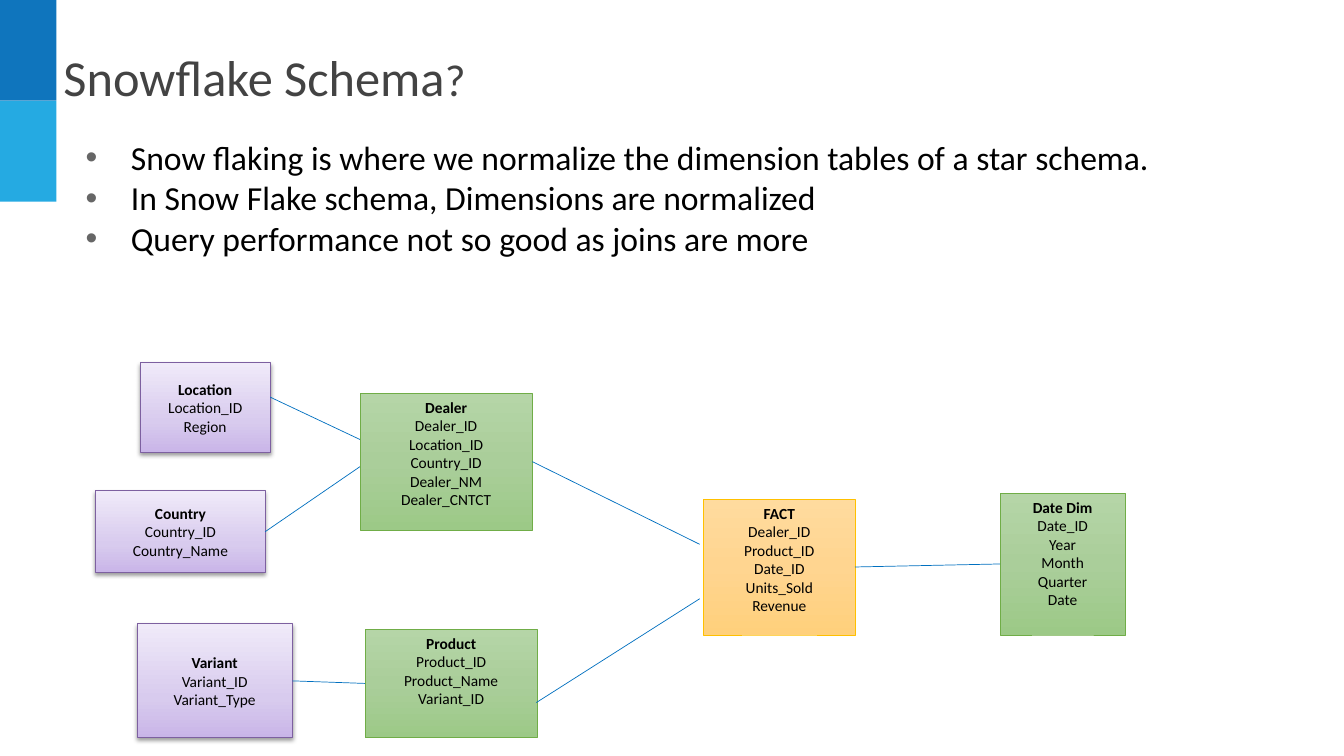
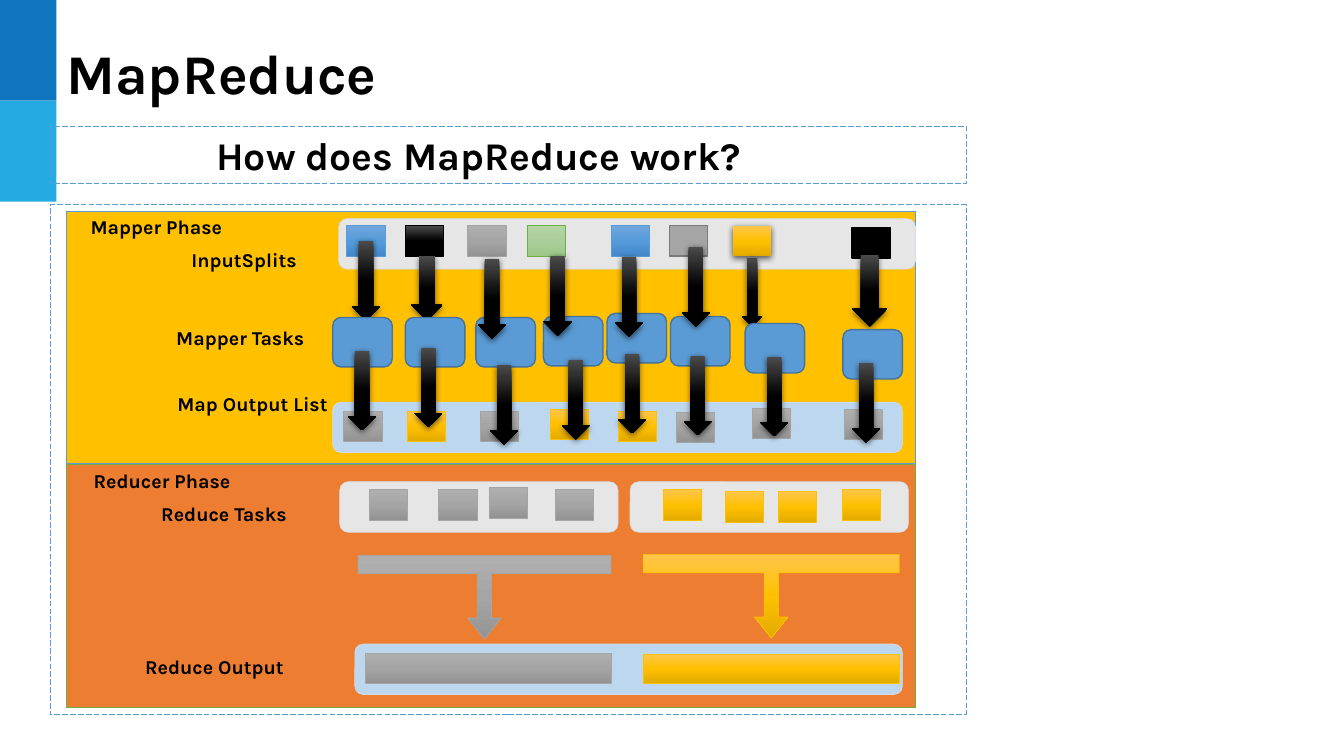
from dataclasses import dataclass
from lxml.etree import SubElement
from pptx import Presentation
from pptx.dml.color import RGBColor
from pptx.enum.dml import MSO_LINE
from pptx.enum.shapes import MSO_CONNECTOR, MSO_SHAPE
from pptx.enum.text import MSO_ANCHOR, PP_ALIGN
from pptx.oxml.ns import qn
from pptx.util import Inches, Pt


@dataclass(frozen=True)
class Look:
    """Fill stops, edge and shadow of a shape."""
    stops: tuple = ()
    edge: str = ""
    width: float = 0.5
    shade: tuple = ()
    dash: bool = False


@dataclass(frozen=True)
class Theme:
    """Fonts, type sizes, colours and looks of the deck."""
    plain: str = "Calibri"
    bold: str = "Karla"
    ink: str = "000000"
    head: str = "434343"
    bullet: str = "666666"
    wire: str = "0070C0"
    small: int = 11
    label: int = 14
    body: int = 24
    sub: int = 28
    mark: int = 32
    title: int = 36
    large: int = 40
    bands: tuple = (Look(("0F75BD",)), Look(("25AAE2",)))
    green: Look = Look(((0, "B5D5A7"), (50, "AACE9A"), (100, "9CC987")), "70AD47")
    peach: Look = Look(((0, "FFDB9E"), (50, "FFD590"), (100, "FFD07C")), "FFC000")
    lilac: Look = Look(((0, "F0EAF9"), (65, "D8CBEE"), (100, "C9B5E8")),
                       "7D60A0", 0.75, (38, 3.1, 1.6))
    blue: Look = Look(((0, "71A6DB"), (50, "559BDB"), (100, "448ACA")), "5B9BD5")
    black: Look = Look(((0, "4B4B4B"), (50, "000000"), (100, "000000")), "000000")
    gray: Look = Look(((0, "AFAFAF"), (50, "A5A5A5"), (100, "939393")), "A5A5A5")
    gold: Look = Look(((0, "FFC64B"), (50, "FFC000"), (100, "E3AB00")), "FFC000")
    glow: Look = Look(gold.stops, shade=(63, 4.5, 1.5))
    arrow: Look = Look(black.stops, shade=(63, 4.5, 1.5))
    steel: Look = Look(("A5A5A5",), "7A7A7A", 1)
    coal: Look = Look(("000000",), "000000", 1)
    task: Look = Look(("5B9BD5",), "43739E", 1)
    frame: Look = Look((), "5B9BD5", dash=True)
    upper: Look = Look(("FFC000",), "5B9BD5")
    lower: Look = Look(("ED7D31",), "70AD47")
    pale: Look = Look(("E7E6E6",), "D6DCE5")
    sky: Look = Look(("BDD7EE",), "D6DCE5")


THEME = Theme()
RECT, ROUND, DOWN = MSO_SHAPE.RECTANGLE, MSO_SHAPE.ROUNDED_RECTANGLE, MSO_SHAPE.DOWN_ARROW


def write(para, text, font=THEME.plain, size=THEME.small, color=THEME.ink, bold=False):
    """Add a run of text in the given format."""
    run = para.add_run()
    run.text = text
    run.font.name = font
    run.font.size = Pt(size)
    run.font.bold = bold
    run.font.color.rgb = RGBColor.from_string(color)


class Deck:
    """Hold the theme and the current slide, and draw on it."""

    def __init__(self, theme):
        """Start an empty wide deck."""
        self.theme = theme
        self.show = Presentation()
        self.show.slide_width = Inches(13.33)
        self.show.slide_height = Inches(7.5)

    def start(self):
        """Add a blank slide with its two side bands."""
        self.slide = self.show.slides.add_slide(self.show.slide_layouts[6])
        for row, look in enumerate(self.theme.bands):
            self.shape((0, row, 0.56, 1), look)

    def shape(self, spot, look, kind=RECT, tweaks=()):
        """Draw a preset shape with a look."""
        item = self.slide.shapes.add_shape(kind, *map(Inches, spot))
        item.shadow.inherit = False
        for place, value in enumerate(tweaks):
            item.adjustments[place] = value
        self.paint(item, look.stops)
        if look.edge:
            item.line.color.rgb = RGBColor.from_string(look.edge)
            item.line.width = Pt(look.width)
        else:
            item.line.fill.background()
        if look.dash:
            item.line.dash_style = MSO_LINE.LONG_DASH
        if look.shade:
            self.shade(item, *look.shade)
        return item

    def paint(self, item, stops):
        """Fill a shape with nothing, one colour or a blend."""
        if not stops:
            item.fill.background()
        elif len(stops) == 1:
            item.fill.solid()
            item.fill.fore_color.rgb = RGBColor.from_string(stops[0])
        else:
            item.fill.gradient()
            item.fill.gradient_angle = 270
            blend = item._element.spPr.find(qn("a:gradFill")).find(qn("a:gsLst"))
            for old in list(blend):
                blend.remove(old)
            for place, color in stops:
                stop = SubElement(blend, qn("a:gs"), pos=str(place * 1000))
                SubElement(stop, qn("a:srgbClr"), val=color)

    def shade(self, item, alpha, blur, drop):
        """Cast a soft shadow below a shape."""
        list_ = item._element.spPr.find(qn("a:effectLst"))
        cast = SubElement(list_, qn("a:outerShdw"), blurRad=str(Pt(blur)),
                          dist=str(Pt(drop)), dir="5400000", rotWithShape="0")
        tint = SubElement(cast, qn("a:srgbClr"), val=self.theme.ink)
        SubElement(tint, qn("a:alpha"), val=str(alpha * 1000))

    def row(self, spots, size, look, kind=RECT):
        """Draw shapes of one size and look at many spots."""
        for spot in spots:
            self.shape((*spot, *size), look, kind)

    def text(self, spot, *lines, align=PP_ALIGN.LEFT, **style):
        """Place a text box and return its frame."""
        frame = self.slide.shapes.add_textbox(*map(Inches, spot)).text_frame
        frame.word_wrap = True
        for count, line in enumerate(lines):
            para = frame.add_paragraph() if count else frame.paragraphs[0]
            para.alignment = align
            write(para, line, **style)
        return frame

    def list(self, spot, *lines):
        """Place a bulleted list."""
        indent = Inches(0.45)
        for para in self.text(spot, *lines, size=self.theme.body).paragraphs:
            props = para._p.get_or_add_pPr()
            props.set("marL", str(indent))
            props.set("indent", str(-indent))
            tint = SubElement(props, qn("a:buClr"))
            SubElement(tint, qn("a:srgbClr"), val=self.theme.bullet)
            SubElement(props, qn("a:buFont"), typeface="Arial")
            SubElement(props, qn("a:buChar"), char="•")

    def table(self, spot, look, name, *fields, anchor=MSO_ANCHOR.TOP):
        """Draw a schema box with a bold name over its fields."""
        item = self.shape(spot, look)
        frame = item.text_frame
        frame.vertical_anchor = anchor
        for count, line in enumerate((name, *fields)):
            para = frame.add_paragraph() if count else frame.paragraphs[0]
            para.alignment = PP_ALIGN.CENTER
            write(para, line, bold=not count)
        return item

    def link(self, start, end, head=None, tail=None):
        """Draw a line, joined to the shapes given for its ends."""
        line = self.slide.shapes.add_connector(
            MSO_CONNECTOR.STRAIGHT, *map(Inches, (*start, *end)))
        line.line.color.rgb = RGBColor.from_string(self.theme.wire)
        line.line.width = Pt(0.5)
        SubElement(line._element.spPr, qn("a:effectLst"))
        if head:
            line.begin_connect(head, 3)
        if tail:
            line.end_connect(tail, 1)


def snow(deck):
    """Build the schema slide."""
    t = deck.theme
    deck.start()
    frame = deck.text((0.58, 0.43, 11, 1), "Snowflake Schema", size=t.title, color=t.head)
    frame.margin_left = frame.margin_right = Inches(0.05)
    frame.margin_top = frame.margin_bottom = Inches(0.03)
    write(frame.paragraphs[0], "?", size=t.mark, color=t.head)
    deck.list((0.75, 1.31, 10.83, 1.31),
              "Snow flaking is where we normalize the dimension tables of a star schema.",
              "In Snow Flake schema, Dimensions are normalized",
              "Query performance not so good as joins are more")
    mid = MSO_ANCHOR.MIDDLE
    deck.table((1.39, 3.6, 1.29, 0.89), t.lilac,
               "Location", "Location_ID", "Region", anchor=mid)
    land = deck.table((0.95, 4.87, 1.68, 0.81), t.lilac,
                      "Country", "Country_ID", "Country_Name", anchor=mid)
    kind = deck.table((1.36, 6.19, 1.54, 1.13), t.lilac,
                      "Variant", "Variant_ID", "Variant_Type", anchor=mid)
    dealer = deck.table((3.57, 3.9, 1.71, 1.36), t.green, "Dealer", "Dealer_ID",
                        "Location_ID", "Country_ID", "Dealer_NM", "Dealer_CNTCT")
    goods = deck.table((3.62, 6.24, 1.71, 1.08), t.green,
                       "Product", "Product_ID", "Product_Name", "Variant_ID")
    fact = deck.table((6.98, 4.95, 1.5, 1.35), t.peach, "FACT", "Dealer_ID",
                      "Product_ID", "Date_ID", "Units_Sold", "Revenue")
    date = deck.table((9.92, 4.89, 1.24, 1.41), t.green, "Date Dim", "Date_ID",
                      "Year", "Month", "Quarter", "Date")
    deck.link((2.68, 3.94), (3.57, 4.36))
    deck.link((2.63, 5.28), (3.57, 4.63), head=land)
    deck.link((2.9, 6.75), (3.62, 6.75), head=kind, tail=goods)
    deck.link((5.28, 4.58), (6.94, 5.4), head=dealer)
    deck.link((5.32, 6.97), (6.94, 5.94))
    deck.link((8.48, 5.56), (9.92, 5.56), head=fact, tail=date)


def phase(deck):
    """Build the map and reduce slide."""
    t = deck.theme
    cell, long = (0.38, 0.3), (0.28, 0.79)
    deck.start()
    deck.shape((0.5, 2.03, 9.08, 5.06), t.frame)
    deck.shape((0.5, 1.25, 9.08, 0.57), t.frame)
    deck.text((1.87, 1.25, 5.75, 0.57), "How does MapReduce work?",
              align=PP_ALIGN.CENTER, font=t.bold, size=t.sub, bold=True)
    title = deck.text((0.56, 0.41, 10, 0.8), "MapReduce",
                      font=t.bold, size=t.large, bold=True)
    title.paragraphs[0].line_spacing = 0.9
    deck.shape((0.66, 2.1, 8.42, 2.5), t.upper)
    deck.shape((0.66, 4.61, 8.42, 2.41), t.lower)
    for x, y, width, label in (
            (0.8, 2.08, 2.14, "Mapper Phase"), (1.8, 2.41, 1.7, "InputSplits"),
            (1.65, 3.18, 1.5, "Mapper Tasks"), (1.66, 3.84, 1.75, "Map Output List"),
            (0.83, 4.6, 2.13, "Reducer Phase"), (1.5, 4.93, 1.91, "Reduce Tasks"),
            (1.34, 6.45, 2.01, "Reduce Output")):
        deck.text((x, y, width, 0.34), label, font=t.bold, size=t.label, bold=True)

    deck.shape((3.36, 2.17, 5.72, 0.5), t.pale, ROUND)
    splits = (3.44, t.blue), (4.02, t.black), (4.64, t.gray), (5.23, t.green), \
        (6.06, t.blue), (6.64, t.steel), (7.27, t.glow)
    for x, look in splits:
        deck.shape((x, 2.24, *cell), look)
    deck.shape((8.45, 2.26, *cell), t.coal)
    for spot in ((3.49, 2.39, *long), (4.08, 2.54, 0.31, 0.64),
                 (7.36, 2.56, 0.2, 0.68), (8.45, 2.53, 0.35, 0.71)):
        deck.shape(spot, t.arrow, DOWN)
    deck.row(((3.3, 3.15), (4.02, 3.15), (4.72, 3.15), (5.39, 3.14), (6.02, 3.11),
              (6.65, 3.14), (7.39, 3.21), (8.36, 3.27)), (0.59, 0.49), t.task, ROUND)
    deck.row(((4.74, 2.57), (5.39, 2.54), (6.1, 2.55), (6.76, 2.45)), long, t.arrow, DOWN)

    deck.shape((3.3, 3.99, 5.65, 0.5), t.sky, ROUND)
    deck.row(((3.41, 4.08), (4.76, 4.08), (6.71, 4.09), (7.46, 4.05), (8.37, 4.06)),
             cell, t.gray)
    deck.row(((4.04, 4.08), (5.46, 4.06), (6.13, 4.08)), cell, t.gold)
    deck.row(((3.45, 3.48), (4.11, 3.45), (4.86, 3.62), (5.57, 3.57), (6.13, 3.51),
              (6.78, 3.53), (7.54, 3.54), (8.45, 3.6)), long, t.arrow, DOWN)

    deck.row(((3.37, 4.78), (6.25, 4.78)), (2.76, 0.5), t.pale, ROUND)
    deck.row(((3.66, 4.86), (4.35, 4.86), (4.85, 4.84), (5.51, 4.86)), cell, t.gray)
    deck.row(((6.58, 4.86), (7.19, 4.88), (7.72, 4.88), (8.35, 4.86)), cell, t.gold)
    deck.shape((3.52, 6.39, 5.43, 0.5), t.sky, ROUND)
    for call, out, look in (((3.55, 5.51, 2.51, 0.83), (3.62, 6.48, 2.44, 0.3), t.gray),
                            ((6.38, 5.5, 2.54, 0.83), (6.38, 6.49, 2.54, 0.29), t.gold)):
        deck.shape(call, look, MSO_SHAPE.DOWN_ARROW_CALLOUT, (0.17, 0.2, 0.25, 0.22))
        deck.shape(out, look)


def main():
    """Build and save the deck."""
    deck = Deck(THEME)
    snow(deck)
    phase(deck)
    deck.show.save("out.pptx")


if __name__ == "__main__":
    main()
